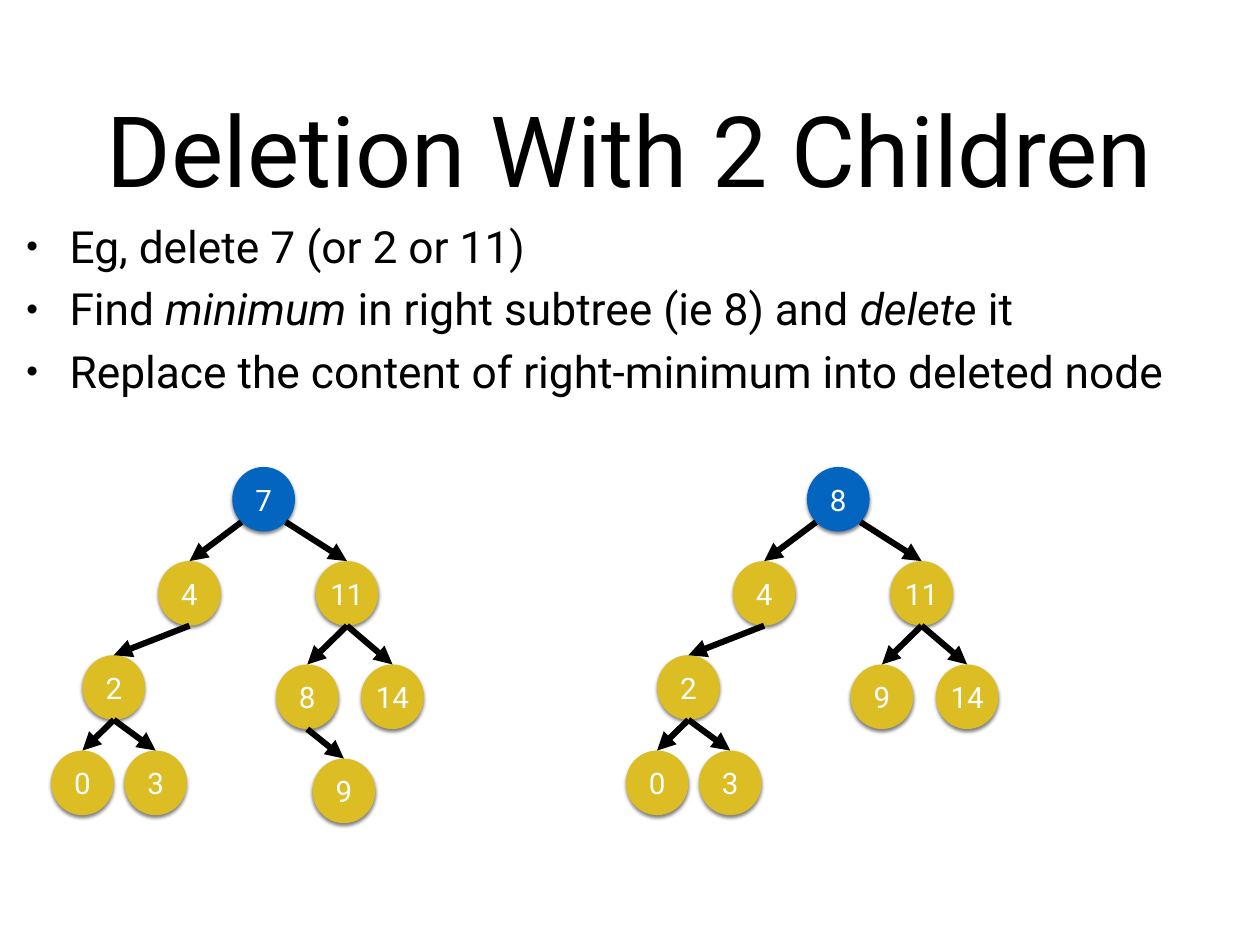
from lxml.etree import SubElement
from pptx import Presentation
from pptx.dml.color import RGBColor
from pptx.enum.shapes import MSO_CONNECTOR, MSO_SHAPE
from pptx.enum.text import MSO_ANCHOR, MSO_AUTO_SIZE, PP_ALIGN
from pptx.oxml.ns import qn
from pptx.util import Pt

BLACK = RGBColor(0x00, 0x00, 0x00)
WHITE = RGBColor(0xFF, 0xFF, 0xFF)
BLUE = RGBColor(0x03, 0x65, 0xC0)
GOLD = RGBColor(0xDC, 0xBD, 0x23)

NODE_WIDTH, NODE_HEIGHT = 51, 52.5
DIAGONAL = 0.3536
TREE_SHIFT = 467


def set_frame(frame, wrap):
    frame.word_wrap = wrap
    frame.auto_size = MSO_AUTO_SIZE.NONE
    frame.vertical_anchor = MSO_ANCHOR.MIDDLE
    frame.margin_left = frame.margin_right = Pt(4)
    frame.margin_top = frame.margin_bottom = Pt(4)


def set_font(paragraph, size, color):
    paragraph.font.name = "Roboto"
    paragraph.font.size = Pt(size)
    paragraph.font.color.rgb = color


presentation = Presentation()
presentation.slide_width = Pt(1024)
presentation.slide_height = Pt(768)
slide = presentation.slides.add_slide(presentation.slide_layouts[1])

heading = slide.shapes.title
heading.left, heading.top, heading.width, heading.height = Pt(75), Pt(35), Pt(874), Pt(170)
set_frame(heading.text_frame, True)
heading.text_frame.text = "Deletion With 2 Children"
heading.text_frame.paragraphs[0].alignment = PP_ALIGN.CENTER
set_font(heading.text_frame.paragraphs[0], 80, BLACK)

steps = slide.placeholders[1]
steps.left, steps.top, steps.width, steps.height = Pt(17.5), Pt(178.5), Pt(980.5), Pt(149)
set_frame(steps.text_frame, True)
step_texts = [
    [("Eg, delete 7 (or 2 or 11)", False)],
    [("Find ", False), ("minimum", True), (" in right subtree (ie 8) and ", False),
     ("delete", True), (" it", False)],
    [("Replace the content of right-minimum into deleted node", False)],
]
for number, pieces in enumerate(step_texts):
    step = steps.text_frame.add_paragraph() if number else steps.text_frame.paragraphs[0]
    step.line_spacing = 0.9
    step.space_before = Pt(12 if number else 0)
    properties = step._p.get_or_add_pPr()
    properties.set("marL", str(Pt(35)))
    properties.set("indent", str(-Pt(35)))
    SubElement(properties, qn("a:buSzPct"), val="75000")
    SubElement(properties, qn("a:buChar"), char="•")
    set_font(step, 36, BLACK)
    for text, italic in pieces:
        run = step.add_run()
        run.text = text
        if italic:
            run.font.italic = True

# label, parent, centre x, top y
positions = {
    "root": (214.25, 379.5),
    "left": (154, 456),
    "right": (282, 456),
    "left-left": (92.5, 532.5),
    "right-left": (249.75, 540),
    "right-right": (319, 540),
    "low-left": (67, 610),
    "low-right": (126.5, 610),
    "right-low": (279.5, 616.5),
}
parents = {
    "left": "root",
    "right": "root",
    "left-left": "left",
    "right-left": "right",
    "right-right": "right",
    "low-left": "left-left",
    "low-right": "left-left",
    "right-low": "right-left",
}
shared_labels = {"left": "4", "right": "11", "left-left": "2", "right-right": "14",
                 "low-left": "0", "low-right": "3"}
trees = [
    {"root": "7", "right-left": "8", "right-low": "9", **shared_labels},
    {"root": "8", "right-left": "9", **shared_labels},
]

for tree_number, labels in enumerate(trees):
    shift = tree_number * TREE_SHIFT

    for place, label in labels.items():
        center, top = positions[place]
        node = slide.shapes.add_shape(
            MSO_SHAPE.OVAL, Pt(center + shift - NODE_WIDTH / 2), Pt(top),
            Pt(NODE_WIDTH), Pt(NODE_HEIGHT))
        node.fill.solid()
        node.fill.fore_color.rgb = BLUE if place == "root" else GOLD
        node.line.fill.background()
        node.shadow.inherit = False
        effects = node._element.spPr.find(qn("a:effectLst"))
        shadow = SubElement(effects, qn("a:outerShdw"), blurRad=str(Pt(3)),
                            dist=str(Pt(2)), dir="5400000", rotWithShape="0")
        shade = SubElement(shadow, qn("a:srgbClr"), val=str(BLACK))
        SubElement(shade, qn("a:alpha"), val="50000")
        set_frame(node.text_frame, False)
        node.text_frame.text = label
        node.text_frame.paragraphs[0].alignment = PP_ALIGN.CENTER
        set_font(node.text_frame.paragraphs[0], 24, WHITE)

    for child, parent in parents.items():
        if child not in labels:
            continue
        start_x, parent_top = positions[parent]
        end_x, end_y = positions[child]
        start_y = parent_top + NODE_HEIGHT
        if parent == "root":
            side = -1 if end_x < start_x else 1
            start_x += side * DIAGONAL * NODE_WIDTH
            start_y = parent_top + NODE_HEIGHT * (0.5 + DIAGONAL)
        edge = slide.shapes.add_connector(
            MSO_CONNECTOR.STRAIGHT, Pt(start_x + shift), Pt(start_y),
            Pt(end_x + shift), Pt(end_y))
        edge.line.color.rgb = BLACK
        edge.line.width = Pt(5)
        SubElement(edge.line._get_or_add_ln(), qn("a:tailEnd"), type="triangle")
        SubElement(edge._element.spPr, qn("a:effectLst"))

presentation.save("out.pptx")
